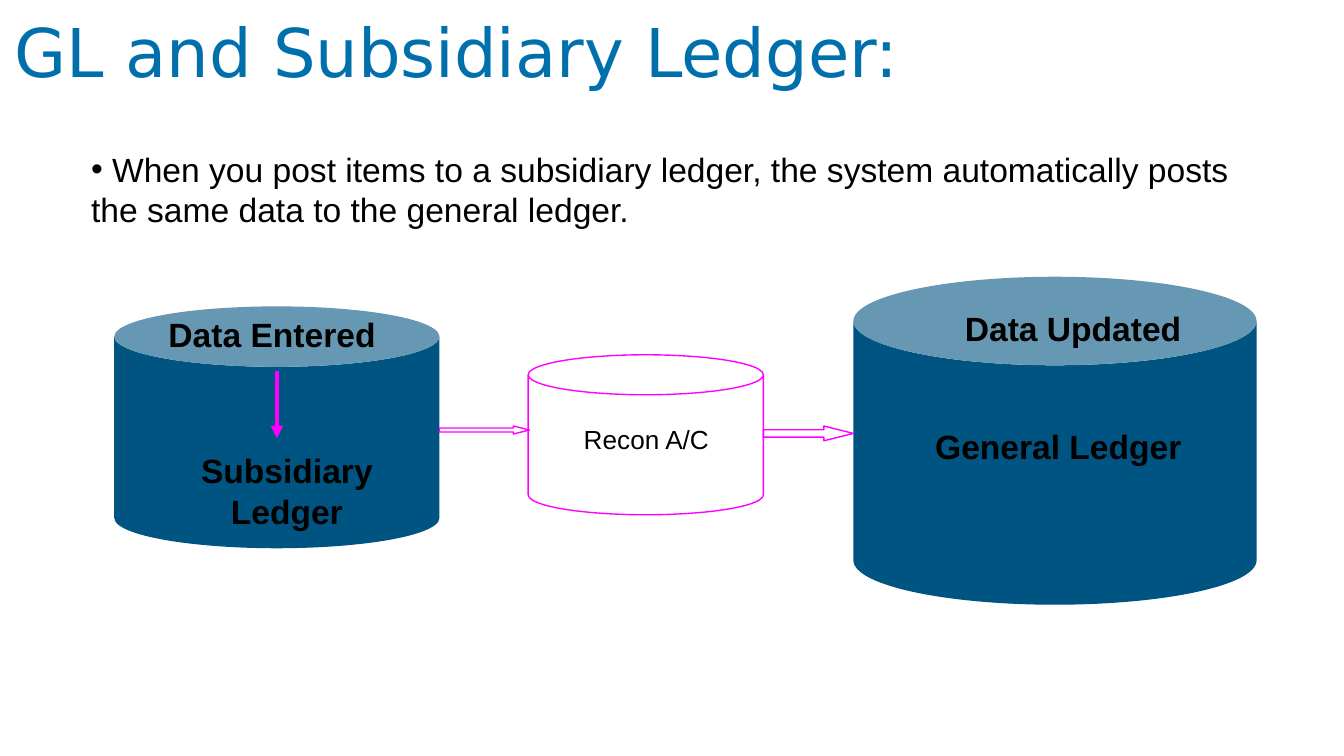
import pptx
import pptx.util
import pptx.dml.color
import pptx.enum.shapes
import pptx.enum.text
import pptx.oxml.ns
from lxml import etree

SHAPES = pptx.enum.shapes.MSO_SHAPE
ALIGN = pptx.enum.text.PP_ALIGN
ANCHOR = pptx.enum.text.MSO_ANCHOR
COLUMNS, ROWS = 100, 56.25
CELL = pptx.util.Inches(0.1)

THEME = {
    "title": {"name": "DejaVu Sans", "size": pptx.util.Pt(36), "color": "0070AD"},
    "body": {"name": "Arial", "size": pptx.util.Pt(18), "color": "000000"},
    "label": {"name": "Arial", "size": pptx.util.Pt(18), "bold": True, "color": "000000"},
    "small": {"name": "Arial", "size": pptx.util.Pt(14), "color": "000000"},
    "ledger": "005481",
    "flow": "FF00FF",
    "outline": pptx.util.Pt(0.75),
    "arrow": pptx.util.Pt(2.25),
}


def grid(*cells):
    return [round(cell * CELL) for cell in cells]


def rgb(value):
    return pptx.dml.color.RGBColor.from_string(value)


def append_element(parent, tag, **values):
    return etree.SubElement(parent, pptx.oxml.ns.qn(tag), **values)


def set_format(target, values):
    for name, value in values.items():
        if name == "color":
            target.color.rgb = rgb(value)
        else:
            setattr(target, name, value)


def add_text(page, place, text, style, align=ALIGN.LEFT, bullet=None, frame=None, spacing=None):
    box = page.shapes.add_textbox(*grid(*place))
    set_format(box.text_frame, {"word_wrap": True, **(frame or {})})
    para = box.text_frame.paragraphs[0]
    set_format(para, {"alignment": align, "line_spacing": spacing})
    if bullet:
        properties = para._p.get_or_add_pPr()
        set_format(properties, {"marL": 0, "indent": 0})
        append_element(properties, "a:buFont", typeface="Arial")
        append_element(properties, "a:buChar", char=bullet)
    span = para.add_run()
    span.text = text
    set_format(span.font, THEME[style])


def add_block(page, kind, place, adjustments, fill=None):
    block = page.shapes.add_shape(kind, *grid(*place))
    block.shadow.inherit = False
    for index, value in enumerate(adjustments):
        block.adjustments[index] = value
    if fill:
        block.fill.solid()
        block.fill.fore_color.rgb = rgb(fill)
        block.line.fill.background()
    else:
        block.fill.background()
        set_format(block.line, {"color": THEME["flow"], "width": THEME["outline"]})


def add_arrow(page, start, end):
    arrow = page.shapes.add_connector(
        pptx.enum.shapes.MSO_CONNECTOR.STRAIGHT, *grid(*start, *end))
    set_format(arrow.line, {"color": THEME["flow"], "width": THEME["arrow"]})
    append_element(arrow.line._get_or_add_ln(), "a:tailEnd", type="triangle")
    append_element(arrow._element.spPr, "a:effectLst")


def main():
    deck = pptx.Presentation()
    set_format(deck, dict(zip(("slide_width", "slide_height"), grid(COLUMNS, ROWS))))
    page = deck.slides.add_slide(deck.slide_layouts[6])

    margins = dict.fromkeys(("margin_left", "margin_top", "margin_right", "margin_bottom"), 0)
    add_text(page, (1.1, 1.4, 95.5, 5.5), "GL and Subsidiary Ledger:", "title",
             frame={**margins, "vertical_anchor": ANCHOR.MIDDLE}, spacing=0.9)
    add_text(page, (5.8, 10.6, 90, 7.1),
             " When you post items to a subsidiary ledger, the system automatically "
             "posts the same data to the general ledger.", "body", bullet="•")

    for place, lid, fill in (
        ((8.5, 22.8, 24.2, 18), 0.25, THEME["ledger"]),
        ((63.5, 20.6, 30, 24.4), 0.27, THEME["ledger"]),
        ((39.3, 26.4, 17.5, 11.9), 0.25, None),
    ):
        add_block(page, SHAPES.CAN, place, [lid], fill)

    for left, height in ((32.7, 0.6), (56.8, 1.1)):
        add_block(page, SHAPES.RIGHT_ARROW, (left, 31.7, 6.7, height), [0.5, 2])

    for place, text, style, align in (
        ((11.1, 22.9, 18.3, 4), "Data Entered", "label", ALIGN.CENTER),
        ((12.6, 33, 17.5, 7.1), "Subsidiary Ledger", "label", ALIGN.CENTER),
        ((68.6, 22.4, 22.5, 4), "Data Updated", "label", ALIGN.CENTER),
        ((68.6, 31.2, 22.5, 4), "General Ledger", "label", ALIGN.LEFT),
        ((40.6, 31, 15, 3.4), "Recon A/C", "small", ALIGN.CENTER),
    ):
        add_text(page, place, text, style, align)

    add_arrow(page, (20.6, 27.6), (20.6, 32.6))
    deck.save("out.pptx")


if __name__ == "__main__":
    main()
